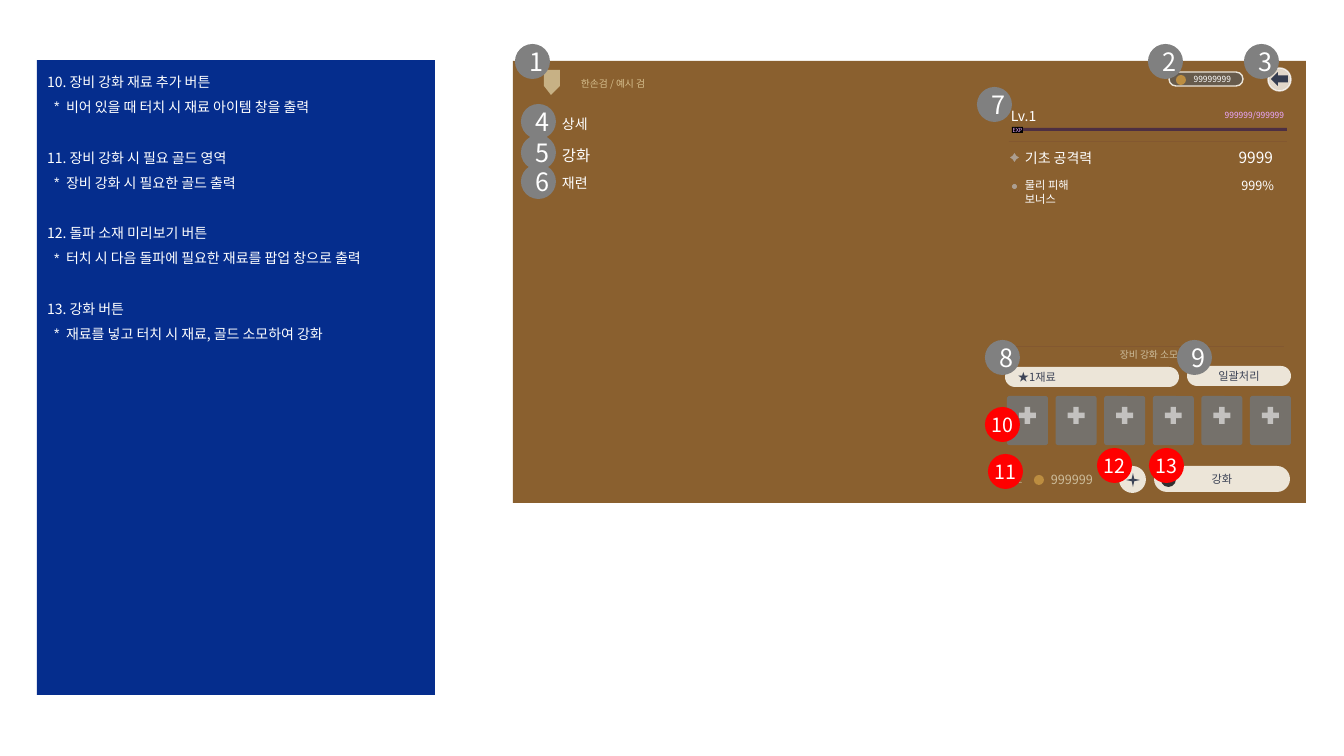
from lxml.etree import SubElement
from pptx import Presentation
from pptx.dml.color import RGBColor
from pptx.enum.shapes import MSO_CONNECTOR, MSO_SHAPE as Kind
from pptx.enum.text import MSO_ANCHOR, MSO_AUTO_SIZE, PP_ALIGN as Align
from pptx.oxml.ns import qn
from pptx.util import Pt

PX = 914400 / 100.8
FONT = "Noto Sans CJK KR"
WHITE = RGBColor(0xFF, 0xFF, 0xFF)
BLACK = RGBColor(0x00, 0x00, 0x00)
NAVY = RGBColor(0x05, 0x2D, 0x8D)
BROWN = RGBColor(0x8A, 0x60, 0x2F)
RULE = RGBColor(0x83, 0x58, 0x30)
TAN = RGBColor(0xC7, 0xB1, 0x85)
TITLE_TAN = RGBColor(0xD6, 0xBF, 0x8E)
LABEL_TAN = RGBColor(0xCD, 0xBD, 0x9C)
CREAM = RGBColor(0xEC, 0xE5, 0xD8)
INK = RGBColor(0x3C, 0x43, 0x56)
ARROW = RGBColor(0x35, 0x3D, 0x51)
LILAC = RGBColor(0xEE, 0xA8, 0xFF)
PLUM = RGBColor(0x4D, 0x2F, 0x42)
MARKER = RGBColor(0xAC, 0x9E, 0x90)
COIN = RGBColor(0xBC, 0x8D, 0x40)
CHARCOAL = RGBColor(0x31, 0x31, 0x31)
PILL_GREY = RGBColor(0x59, 0x59, 0x59)
SLOT = RGBColor(0x75, 0x71, 0x6B)
PLUS = RGBColor(0xC3, 0xC1, 0xBF)
GREY = RGBColor(0x80, 0x80, 0x80)
RED = RGBColor(0xFF, 0x00, 0x00)

NOTES = [
    ("10. 장비 강화 재료 추가 버튼", "비어 있을 때 터치 시 재료 아이템 창을 출력"),
    ("11. 장비 강화 시 필요 골드 영역", "장비 강화 시 필요한 골드 출력"),
    ("12. 돌파 소재 미리보기 버튼", "터치 시 다음 돌파에 필요한 재료를 팝업 창으로 출력"),
    ("13. 강화 버튼", "재료를 넣고 터치 시 재료, 골드 소모하여 강화"),
]
# text, left, top, width, height, size, colour, alignment
LABELS = [
    ("한손검 / 예시 검", 581, 73, 190, 22, 7, TITLE_TAN, Align.LEFT),
    ("상세", 562, 110, 60, 27, 10, WHITE, Align.LEFT),
    ("강화", 562, 141, 60, 29, 11, WHITE, Align.LEFT),
    ("재련", 562, 169, 60, 27, 10, WHITE, Align.LEFT),
    ("Lv.1", 1011, 102, 60, 27, 10, WHITE, Align.LEFT),
    ("999999/999999", 1164, 105, 120, 20, 6, LILAC, Align.RIGHT),
    ("기초 공격력", 1025, 144, 120, 27, 10, WHITE, Align.LEFT),
    ("물리 피해\n보너스", 1025, 174, 100, 36, 8, WHITE, Align.LEFT),
    ("9999", 1193, 143, 80, 29, 11, WHITE, Align.RIGHT),
    ("999%", 1194, 173, 80, 25, 9, WHITE, Align.RIGHT),
    ("장비 강화 소모", 1120, 344, 90, 22, 7, LABEL_TAN, Align.LEFT),
    ("필요", 1007, 470, 30, 20, 6, LABEL_TAN, Align.LEFT),
    ("999999", 1051, 471, 70, 17, 9, LABEL_TAN, Align.LEFT),
]
# kind, left, top, width, height, colour, first adjustment
SHAPES = [
    (Kind.RECTANGLE, 513, 61, 793, 442, BROWN, None),
    (Kind.OVAL, 1119, 466, 27, 27, CREAM, None),
    (Kind.STAR_4_POINT, 1126, 473, 14, 14, INK, None),
    (Kind.RECTANGLE, 1023, 128, 264, 3, PLUM, None),
    (Kind.STAR_4_POINT, 1010, 153, 9, 9, MARKER, 0.28),
    (Kind.OVAL, 1012, 184, 5, 5, MARKER, None),
    (Kind.OVAL, 1034, 475, 10, 10, COIN, None),
]
# text, left, top, width, height, size, fill, text colour, alignment
BUTTONS = [
    ("일괄처리", 1187, 366, 104, 20, 8, CREAM, INK, Align.CENTER),
    ("★1재료", 1005, 367, 174, 20, 8, CREAM, INK, Align.LEFT),
    ("강화", 1154, 466, 136, 26, 8, CREAM, INK, Align.CENTER),
    ("99999999", 1169, 72, 74, 14, 6, PILL_GREY, WHITE, Align.RIGHT),
]
RULES = [(1009, 1287, 141), (1007, 1284, 346)]
BADGES = [(515, 44), (1148, 44), (1244, 44), (521, 104), (521, 135), (521, 164),
          (977, 87), (985, 340), (1177, 340), (985, 407), (988, 454), (1097, 448), (1149, 448)]
BADGE_SIZE, FIRST_RED, GREY_INSET = 35, 10, 8
SLOTS, SLOT_LEFT, SLOT_RIGHT, SLOT_W, PLUS_SIZE = 6, 1007, 1291, 41, 23


def px(*lengths):
    """Turn pixels into EMU."""
    return [round(length * PX) for length in lengths]


def add_span(para, text, size, color):
    """Add one formatted run."""
    span = para.add_run()
    span.text = text
    span.font.size, span.font.name = Pt(size), FONT
    span.font.color.rgb = color
    SubElement(span.font._element, qn("a:ea")).set("typeface", FONT)


def write(shape, text, size, color, align=Align.CENTER, left_inset=0, right_inset=0):
    """Write vertically centred text into a shape or box."""
    frame = shape.text_frame
    frame.word_wrap = align != Align.CENTER
    frame.vertical_anchor = MSO_ANCHOR.MIDDLE
    frame.margin_left, frame.margin_right = px(left_inset, right_inset)
    frame.margin_top = frame.margin_bottom = 0
    para = frame.paragraphs[0]
    para.alignment = align
    lines = text.split("\n")
    for index, line in enumerate(lines):
        if index:
            para.add_line_break()
        add_span(para, line, size, color)
    if len(lines) > 1:
        para.line_spacing = Pt(size * 1.2)


def paint(shape, color):
    """Give a shape a plain fill with neither line nor shadow."""
    shape.shadow.inherit = False
    shape.fill.solid()
    shape.fill.fore_color.rgb = color
    shape.line.fill.background()


def add_shape(kind, left, top, width, height, color, adjust=None):
    """Add a plain preset shape."""
    shape = page.shapes.add_shape(kind, *px(left, top, width, height))
    paint(shape, color)
    if adjust is not None:
        shape.adjustments[0] = adjust
    return shape


def outline(shape, color):
    """Draw a one-point outline."""
    shape.line.color.rgb = color
    shape.line.width = Pt(1)


def set_alpha(parent, percent):
    """Make the solid fill directly under an element see-through."""
    tint = parent.find(qn("a:solidFill")).find(qn("a:srgbClr"))
    SubElement(tint, qn("a:alpha")).set("val", str(percent * 1000))


def fill_notes(panel):
    """Fill the side panel with numbered notes and their starred details."""
    panel.left, panel.top, panel.width, panel.height = px(37, 60, 398, 635)
    panel.fill.solid()
    panel.fill.fore_color.rgb = NAVY
    frame = panel.text_frame
    frame.auto_size = MSO_AUTO_SIZE.NONE
    frame.vertical_anchor = MSO_ANCHOR.TOP
    for index, (heading, detail) in enumerate(NOTES):
        for text, starred in ((heading, False), (detail, True)):
            first = index == 0 and not starred
            para = frame.paragraphs[0] if first else frame.add_paragraph()
            para.line_spacing = Pt(18)
            para.space_before = Pt(0 if first or starred else 18)
            props = para._p.get_or_add_pPr()
            margin, indent = px(19, -12) if starred else (0, 0)
            props.set("marL", str(margin))
            props.set("indent", str(indent))
            if starred:
                SubElement(props, qn("a:buChar")).set("char", "*")
            else:
                SubElement(props, qn("a:buNone"))
            add_span(para, text, 10, WHITE)


deck = Presentation()
deck.slide_width, deck.slide_height = px(1344, 756)
page = deck.slides.add_slide(deck.slide_layouts[1])
title = page.shapes.title
title._element.getparent().remove(title._element)
fill_notes(page.placeholders[1])

for item in SHAPES:
    add_shape(*item)

builder = page.shapes.build_freeform(544, 70, scale=PX)
builder.add_line_segments([(560, 70), (560, 86), (551, 95), (544, 86)], close=True)
paint(builder.convert_to_shape(), TAN)

for start, end, y in RULES:
    rule = page.shapes.add_connector(MSO_CONNECTOR.STRAIGHT, *px(start, y, end, y))
    rule.line.color.rgb, rule.line.width = RULE, Pt(0.5)
    SubElement(rule._element.spPr, qn("a:effectLst"))

write(add_shape(Kind.RECTANGLE, 1012, 127, 11, 6, BLACK), "EXP", 4, LILAC)

for text, left, top, width, height, size, color, align in LABELS:
    write(page.shapes.add_textbox(*px(left, top, width, height)), text, size, color, align)

pitch = (SLOT_RIGHT - SLOT_LEFT - SLOT_W) / (SLOTS - 1)
for index in range(SLOTS):
    left = SLOT_LEFT + index * pitch
    add_shape(Kind.ROUNDED_RECTANGLE, left, 396, SLOT_W, 49, SLOT, 0.06)
    add_shape(Kind.MATH_PLUS, left + (SLOT_W - PLUS_SIZE) / 2, 404, PLUS_SIZE, PLUS_SIZE, PLUS)

for text, left, top, width, height, size, fill, color, align in BUTTONS:
    button = add_shape(Kind.ROUNDED_RECTANGLE, left, top, width, height, fill, 0.5)
    write(button, text, size, color, align, 10, 10)
    if fill == PILL_GREY:
        outline(button, CREAM)
        set_alpha(button._element.spPr, 70)
add_shape(Kind.OVAL, 1176, 75, 10, 10, COIN)
add_shape(Kind.OVAL, 1161, 472, 15, 15, CHARCOAL)

back = add_shape(Kind.OVAL, 1268, 68, 23, 23, WHITE)
outline(back, WHITE)
set_alpha(back._element.spPr, 75)
set_alpha(back._element.spPr.find(qn("a:ln")), 75)
add_shape(Kind.LEFT_ARROW, 1271, 72, 17, 14, ARROW)

for number, (left, top) in enumerate(BADGES, 1):
    is_red = number >= FIRST_RED
    color, size, inset = (RED, 14, 0) if is_red else (GREY, 18, GREY_INSET)
    badge = add_shape(Kind.OVAL, left, top, BADGE_SIZE, BADGE_SIZE, color)
    write(badge, str(number), size, WHITE, left_inset=inset)

deck.save("out.pptx")
